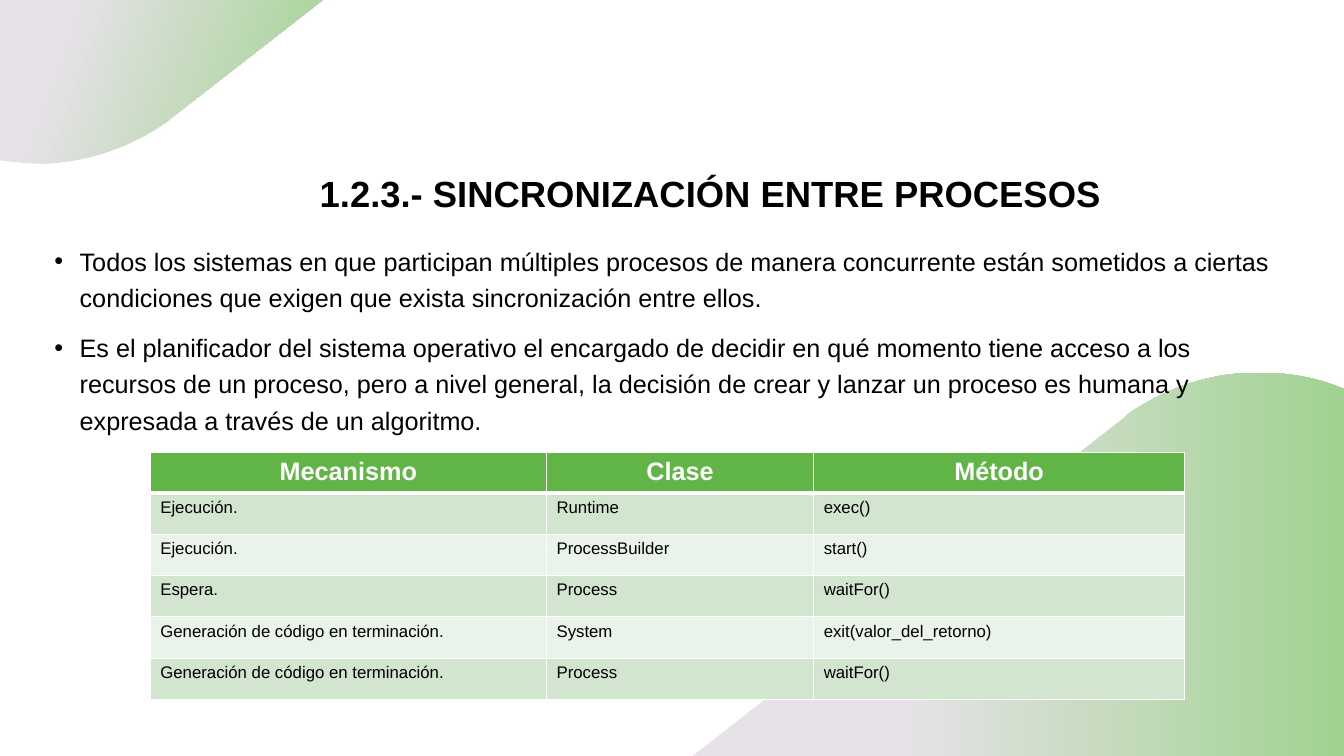
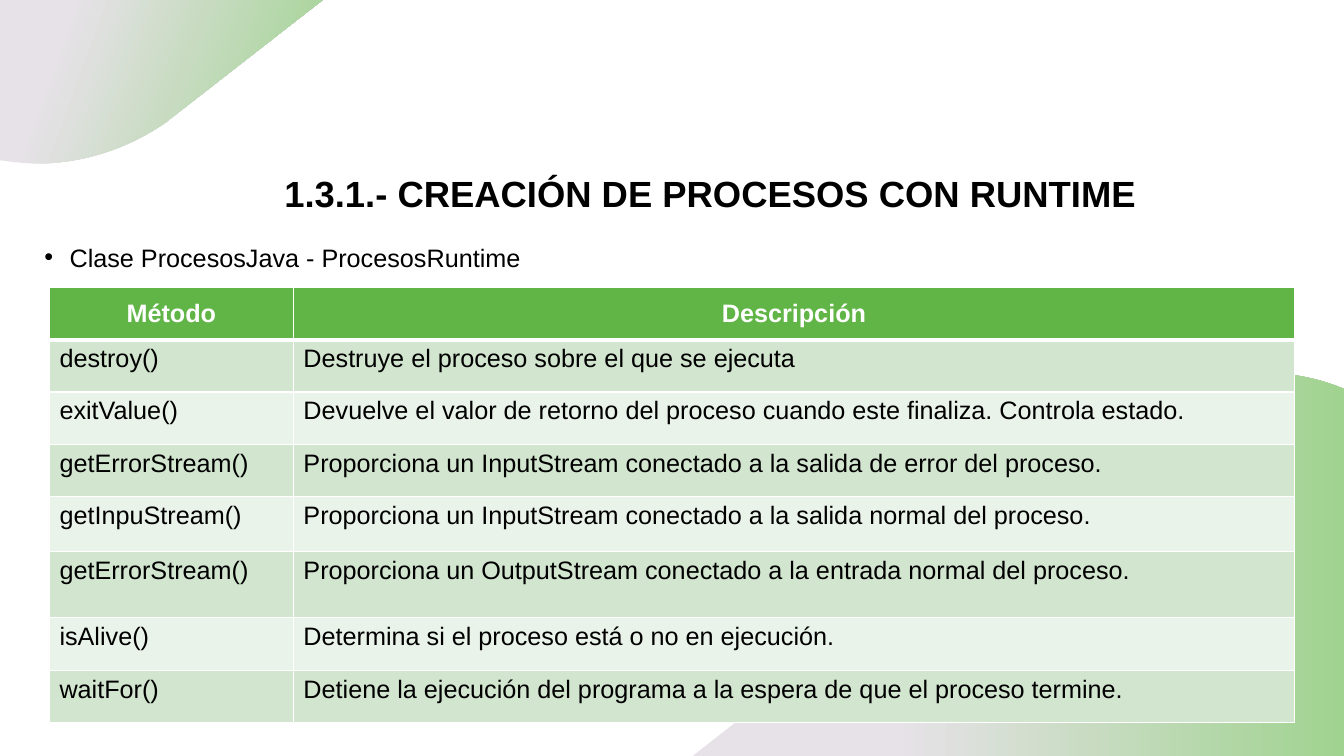
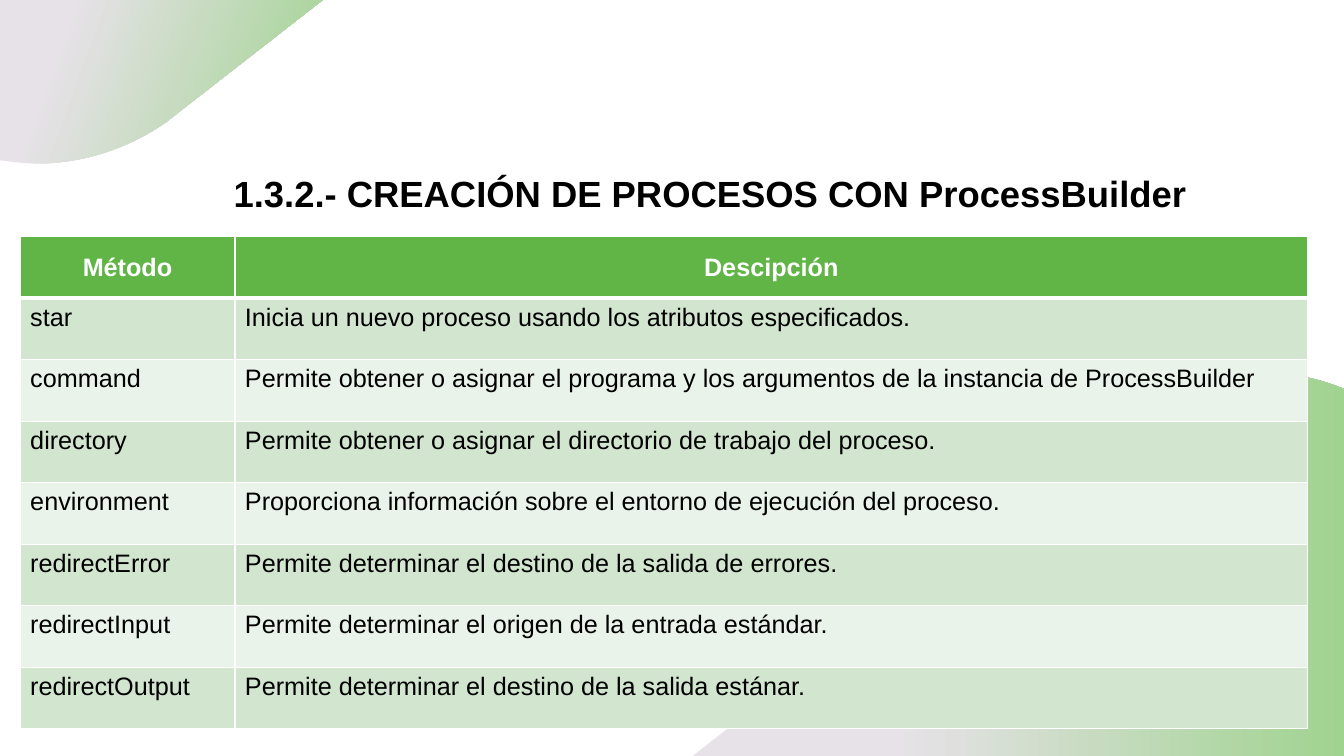
from lxml import etree
from pptx import Presentation
from pptx.dml.color import RGBColor
from pptx.enum import text
from pptx.oxml import parse_xml
from pptx.oxml.ns import nsdecls, qn
from pptx.util import Inches, Pt

FONT = "Arial"
BLACK = RGBColor(0x00, 0x00, 0x00)
WHITE = RGBColor(0xFF, 0xFF, 0xFF)
LILAC = RGBColor(0xE7, 0xE2, 0xE8)
LEAF = RGBColor(0xA0, 0xD3, 0x90)
HEADER_GREEN = RGBColor(0x61, 0xB5, 0x47)
BAND_COLOURS = [RGBColor(0xD2, 0xE5, 0xCF), RGBColor(0xEA, 0xF3, 0xE9)]
HEADER_BORDERS = [("lnL", 0.96), ("lnR", 0.96), ("lnT", 0.96), ("lnB", 3)]

# Two numbers are a straight segment, six are a Bézier curve
CORNERS = [
    {"outline": [(0, 0), (3.2, 0), (1.7, 1.17), (1.65, 1.21),
                 (1.29, 1.46, 0.88, 1.6, 0.46, 1.62),
                 (0.42, 1.62, 0.37, 1.62, 0.33, 1.62),
                 (0.27, 1.62, 0.21, 1.61, 0.15, 1.61), (0, 1.59)],
     "stops": (0.19, 0.99), "angle": 340},
    {"outline": [(12.53, 3.7), (12.77, 3.7, 13, 3.74, 13.23, 3.82),
                 (13.33, 3.86), (13.33, 7.5), (6.87, 7.5), (11.16, 4.14),
                 (11.2, 4.1), (11.57, 3.85, 11.98, 3.71, 12.4, 3.7),
                 (12.44, 3.7, 12.48, 3.69, 12.53, 3.7)],
     "stops": (0.31, 1), "angle": 0},
]

SLIDES = [
    {"title": "1.2.3.- SINCRONIZACIÓN ENTRE PROCESOS",
     "body_box": (0.44, 2.33, 12.36, 4.81),
     "bullets": [
         "Todos los sistemas en que participan múltiples procesos de manera concurrente están "
         "sometidos a ciertas condiciones que exigen que exista sincronización entre ellos.",
         "Es el planificador del sistema operativo el encargado de decidir en qué momento tiene "
         "acceso a los recursos de un proceso, pero a nivel general, la decisión de crear y "
         "lanzar un proceso es humana y expresada a través de un algoritmo."],
     "table_at": (1.49, 4.49), "columns": [3.93, 2.65, 3.68],
     "row_heights": [0.4] + [0.41] * 5,
     "header_anchor": text.MSO_ANCHOR.TOP, "cell_size": 12,
     "rows": [
         ("Mecanismo", "Clase", "Método"),
         ("Ejecución.", "Runtime", "exec()"),
         ("Ejecución.", "ProcessBuilder", "start()"),
         ("Espera.", "Process", "waitFor()"),
         ("Generación de código en terminación.", "System", "exit(valor_del_retorno)"),
         ("Generación de código en terminación.", "Process", "waitFor()")]},
    {"title": "1.3.1.- CREACIÓN DE PROCESOS CON RUNTIME",
     "body_box": (0.34, 2.29, 12.61, 4.87),
     "bullets": ["Clase ProcesosJava - ProcesosRuntime"],
     "table_at": (0.49, 2.85), "columns": [2.42, 9.93],
     "row_heights": [0.52] * 4 + [0.54, 0.66] + [0.52] * 2,
     "header_anchor": text.MSO_ANCHOR.MIDDLE, "cell_size": 18,
     "rows": [
         ("Método", "Descripción"),
         ("destroy()", "Destruye el proceso sobre el que se ejecuta"),
         ("exitValue()", "Devuelve el valor de retorno del proceso cuando este finaliza. Controla estado."),
         ("getErrorStream()", "Proporciona un InputStream conectado a la salida de error del proceso."),
         ("getInpuStream()", "Proporciona un InputStream conectado a la salida normal del proceso."),
         ("getErrorStream()", "Proporciona un OutputStream conectado a la entrada normal del proceso."),
         ("isAlive()", "Determina si el proceso está o no en ejecución."),
         ("waitFor()", "Detiene la ejecución del programa a la espera de que el proceso termine.")]},
    {"title": "1.3.2.- CREACIÓN DE PROCESOS CON ProcessBuilder",
     "bullets": [],
     "table_at": (0.2, 2.35), "columns": [2.13, 10.64], "row_heights": [0.61] * 8,
     "header_anchor": text.MSO_ANCHOR.MIDDLE, "cell_size": 18,
     "rows": [
         ("Método", "Descipción"),
         ("star", "Inicia un nuevo proceso usando los atributos especificados."),
         ("command", "Permite obtener o asignar el programa y los argumentos de la instancia de ProcessBuilder"),
         ("directory", "Permite obtener o asignar el directorio de trabajo del proceso."),
         ("environment", "Proporciona información sobre el entorno de ejecución del proceso."),
         ("redirectError", "Permite determinar el destino de la salida de errores."),
         ("redirectInput", "Permite determinar el origen de la entrada estándar."),
         ("redirectOutput", "Permite determinar el destino de la salida estánar.")]},
]


def add_curved_outline(shapes, outline):
    """Build a freeform through all points, then join each curve's three lines into a Bézier."""
    points = [(Inches(x), Inches(y)) for segment in outline
              for x, y in zip(segment[::2], segment[1::2])]
    builder = shapes.build_freeform(*points[0])
    builder.add_line_segments(points[1:], close=True)
    shape = builder.convert_to_shape()
    lines = iter(list(shape.element.iter(qn("a:lnTo"))))
    for segment in outline[1:]:
        line = next(lines)
        if len(segment) == 6:
            line.tag = qn("a:cubicBezTo")
            for _ in range(2):
                control_line = next(lines)
                line.append(control_line[0])
                control_line.getparent().remove(control_line)
    return shape


def style(paragraph, size, colour, bold=False):
    paragraph.font.name = FONT
    paragraph.font.size = Pt(size)
    paragraph.font.bold = bold
    paragraph.font.color.rgb = colour


presentation = Presentation()
presentation.slide_width, presentation.slide_height = Inches(13.33), Inches(7.5)
layouts = presentation.slide_layouts

for content in SLIDES:
    layout_name = "Title and Content" if content["bullets"] else "Title Only"
    slide = presentation.slides.add_slide(layouts.get_by_name(layout_name))

    title = slide.shapes.title
    title.left, title.top, title.width, title.height = map(Inches, (2.17, 1.26, 9.76, 1.37))
    title.text_frame.text = content["title"]
    title.text_frame.auto_size = text.MSO_AUTO_SIZE.NONE
    title.text_frame.vertical_anchor = text.MSO_ANCHOR.MIDDLE
    paragraph = title.text_frame.paragraphs[0]
    paragraph.alignment = text.PP_ALIGN.CENTER
    paragraph.line_spacing = 0.9
    style(paragraph, 26, BLACK, bold=True)

    # One corner goes behind the title, the other just in front of it
    for corner, place in zip(CORNERS, (title.element.addprevious, title.element.addnext)):
        shape = add_curved_outline(slide.shapes, corner["outline"])
        shape.shadow.inherit = False
        shape.line.fill.background()
        shape.fill.gradient()
        shape.fill.gradient_angle = corner["angle"]
        for stop, position, colour in zip(shape.fill.gradient_stops, corner["stops"], (LILAC, LEAF)):
            stop.position = position
            stop.color.rgb = colour
        place(shape.element)

    if content["bullets"]:
        body = slide.placeholders[1]
        body.left, body.top, body.width, body.height = map(Inches, content["body_box"])
        body.text_frame.text = "\n".join(content["bullets"])
        body.text_frame.auto_size = text.MSO_AUTO_SIZE.NONE
        for paragraph in body.text_frame.paragraphs:
            paragraph.line_spacing = 1.2
            paragraph.space_before = Pt(10)
            style(paragraph, 18, BLACK)
            properties = paragraph._p.get_or_add_pPr()
            properties.set("marL", str(Inches(0.25)))
            properties.set("indent", str(Inches(-0.25)))
            bullet_colour = etree.SubElement(properties, qn("a:buClr"))
            etree.SubElement(bullet_colour, qn("a:srgbClr"), val=str(BLACK))
            etree.SubElement(properties, qn("a:buFont"), typeface=FONT)
            etree.SubElement(properties, qn("a:buChar"), char="•")
            properties.append(properties.find(qn("a:defRPr")))

    rows, columns, heights = content["rows"], content["columns"], content["row_heights"]
    left, top = map(Inches, content["table_at"])
    table = slide.shapes.add_table(len(rows), len(columns), left, top,
                                   Inches(sum(columns)), Inches(sum(heights))).table
    for column, width in zip(table.columns, columns):
        column.width = Inches(width)
    for row_index, (row, height, values) in enumerate(zip(table.rows, heights, rows)):
        row.height = Inches(height)
        for cell, value in zip(row.cells, values):
            cell.text = value
            cell.fill.solid()
            paragraph = cell.text_frame.paragraphs[0]
            if row_index > 0:
                cell.fill.fore_color.rgb = BAND_COLOURS[(row_index - 1) % 2]
                style(paragraph, content["cell_size"], BLACK)
                continue
            cell.fill.fore_color.rgb = HEADER_GREEN
            cell.vertical_anchor = content["header_anchor"]
            paragraph.alignment = text.PP_ALIGN.CENTER
            style(paragraph, 18, WHITE, bold=True)
            for position, (side, width) in enumerate(HEADER_BORDERS):
                cell._tc.get_or_add_tcPr().insert(position, parse_xml(
                    f'<a:{side} {nsdecls("a")} w="{Pt(width)}"><a:solidFill>'
                    f'<a:srgbClr val="{WHITE}"/></a:solidFill></a:{side}>'))

presentation.save("out.pptx")
